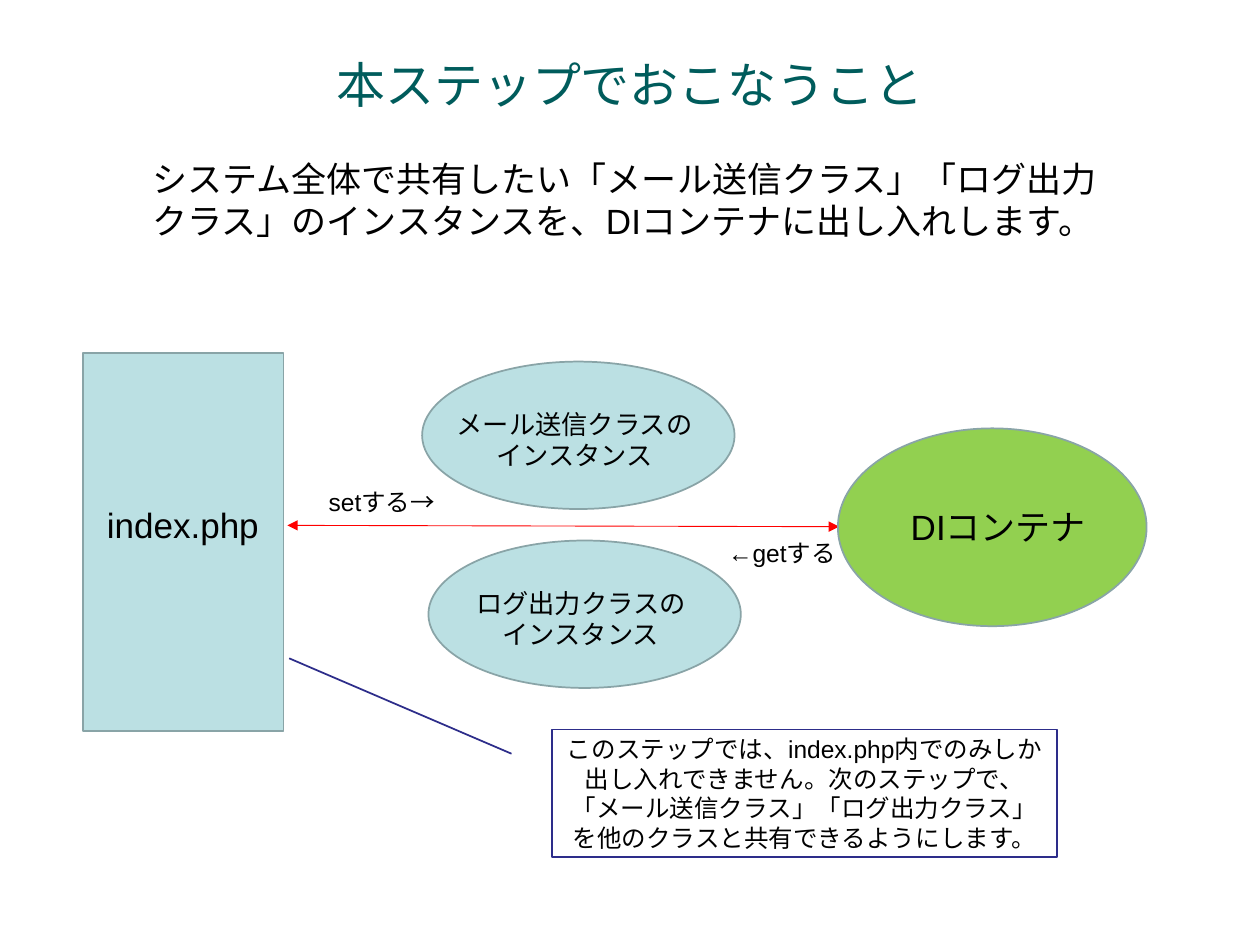
from pptx import Presentation
from pptx.dml.color import RGBColor
from pptx.enum.shapes import MSO_CONNECTOR, MSO_SHAPE
from pptx.enum.text import MSO_ANCHOR, MSO_AUTO_SIZE, PP_ALIGN
from pptx.oxml.ns import qn
from pptx.util import Inches, Pt
from lxml.etree import SubElement

COLORS = {
    "title": "005C5C", "text": "000000", "pale": "BBE0E3", "green": "92D050",
    "outline": "89A4A7", "arrow": "FF0000", "white": "FFFFFF", "note": "2D2D8A",
}
FONT = "Arial"


def rgb(name):
    return RGBColor.from_string(COLORS[name])


def write_text(sp, lines, size, color="text", align=PP_ALIGN.LEFT, **frame):
    """Fill a shape with one paragraph per line; frame holds text frame settings."""
    tf = sp.text_frame
    for name, value in {"word_wrap": True, **frame}.items():
        setattr(tf, name, value)
    for i, line in enumerate(lines):
        p = tf.paragraphs[0] if i == 0 else tf.add_paragraph()
        p.alignment = align
        r = p.add_run()
        r.text = line
        for name, value in {"size": Pt(size), "name": FONT}.items():
            setattr(r.font, name, value)
        r.font.color.rgb = rgb(color)


def add_label(s, box, lines, size, align=PP_ALIGN.LEFT):
    sp = s.shapes.add_textbox(*map(Inches, box))
    write_text(sp, lines, size, align=align,
               auto_size=MSO_AUTO_SIZE.SHAPE_TO_FIT_TEXT)


def add_title(s, text):
    sp = s.shapes.add_textbox(*map(Inches, (0.75, 0.25, 8.5, 0.83)))
    write_text(sp, [text], 28, "title", PP_ALIGN.CENTER,
               vertical_anchor=MSO_ANCHOR.MIDDLE)


def add_block(s, kind, box, fill="pale", line="outline"):
    sp = s.shapes.add_shape(kind, *map(Inches, box))
    sp.shadow.inherit = False
    sp.fill.solid()
    sp.fill.fore_color.rgb = rgb(fill)
    sp.line.color.rgb = rgb(line)
    sp.line.width = Pt(1)
    return sp


def add_instance(s, left, top, class_name):
    add_block(s, MSO_SHAPE.OVAL, (left, top, 2.48, 1.17))
    add_label(s, (left - 0.08, top + 0.32, 2.58, 0.6),
              [class_name, "インスタンス"], 15, PP_ALIGN.CENTER)


def add_double_arrow(s, start, end):
    cx = s.shapes.add_connector(MSO_CONNECTOR.STRAIGHT, *map(Inches, start + end))
    cx.line.color.rgb = rgb("arrow")
    cx.line.width = Pt(0.5)
    ln = cx.line._get_or_add_ln()
    for tag in ("a:headEnd", "a:tailEnd"):
        SubElement(ln, qn(tag), type="triangle")
    SubElement(cx._element.spPr, qn("a:effectLst"))


def add_callout(s, box, adjustments, text):
    sp = add_block(s, MSO_SHAPE.LINE_CALLOUT_1, box, "white", "note")
    for i, value in enumerate(adjustments):
        sp.adjustments[i] = value
    write_text(sp, [text], 14, align=PP_ALIGN.CENTER,
               vertical_anchor=MSO_ANCHOR.MIDDLE)


def main():
    prs = Presentation()
    prs.slide_width, prs.slide_height = Inches(10), Inches(7.5)
    s = prs.slides.add_slide(prs.slide_layouts[6])

    add_title(s, "本ステップでおこなうこと")
    add_label(s, (1.11, 1.2, 7.77, 1.1),
              ["システム全体で共有したい「メール送信クラス」「ログ出力クラス」の"
               "インスタンスを、DIコンテナに出し入れします。"], 20)

    add_block(s, MSO_SHAPE.RECTANGLE, (0.66, 2.8, 1.59, 3))
    add_label(s, (0.75, 3.95, 1.53, 0.44), ["index.php"], 20)
    add_double_arrow(s, (2.28, 4.17), (6.66, 4.18))
    add_block(s, MSO_SHAPE.OVAL, (6.65, 3.4, 2.45, 1.57), "green")
    add_label(s, (7.13, 3.96, 1.63, 0.77), ["DIコンテナ"], 20)

    add_instance(s, 3.35, 2.87, "メール送信クラスの")
    add_instance(s, 3.4, 4.29, "ログ出力クラスの")
    add_label(s, (2.51, 3.82, 1.17, 0.34), ["setする→"], 14)
    add_label(s, (5.68, 4.22, 1.17, 0.34), ["←getする"], 14)

    add_callout(s, (4.38, 5.79, 4.01, 1.01), (0.19, -0.08, -0.56, -0.52),
                "このステップでは、index.php内でのみしか出し入れできません。"
                "次のステップで、「メール送信クラス」「ログ出力クラス」を"
                "他のクラスと共有できるようにします。")
    prs.save("out.pptx")


if __name__ == "__main__":
    main()
